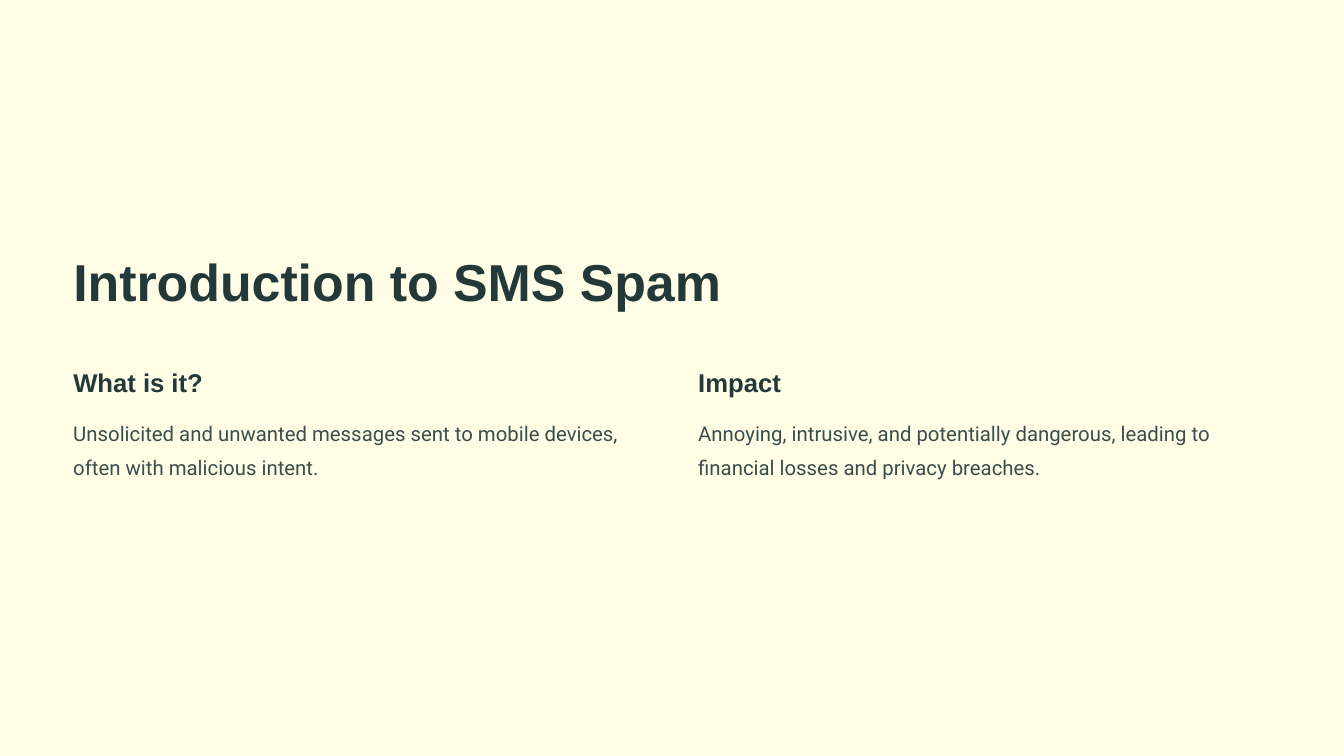
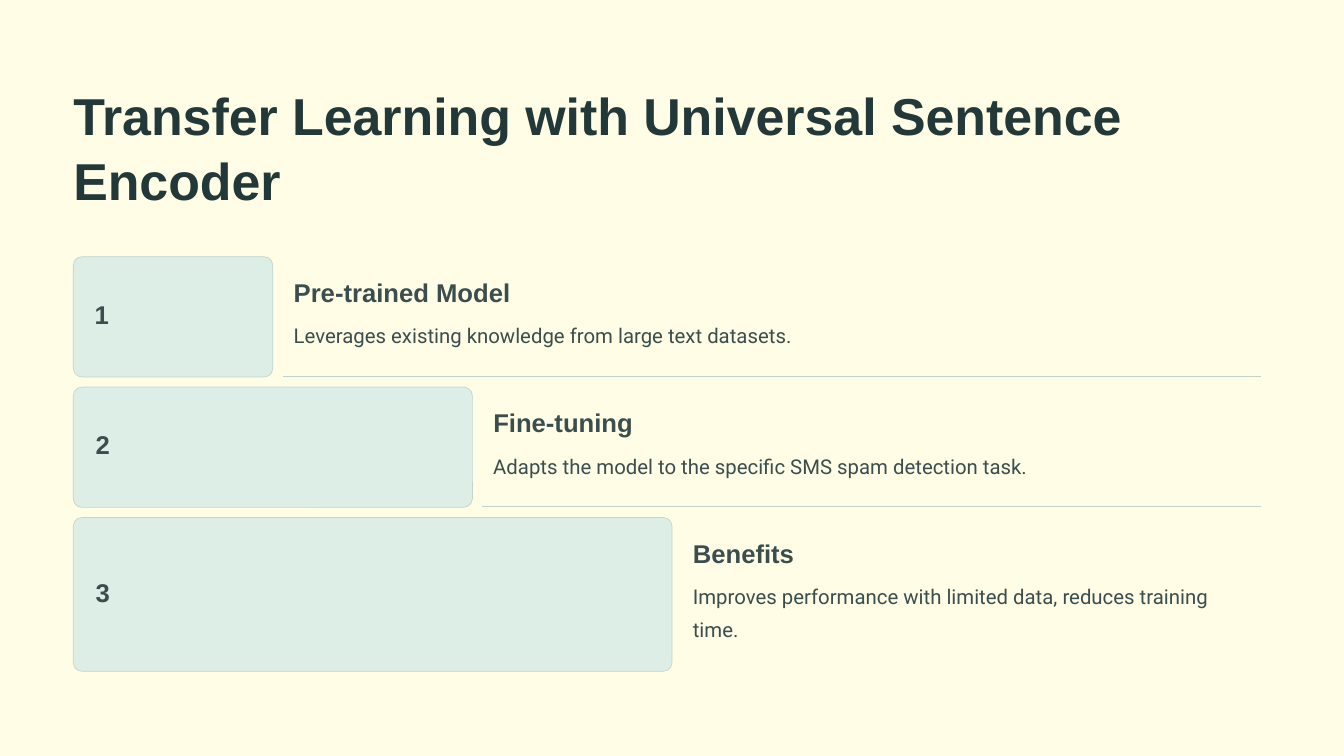
import dataclasses

import pptx
import pptx.dml.color
import pptx.enum.shapes
import pptx.enum.text
import pptx.oxml.ns
import pptx.shapes.base
import pptx.slide
import pptx.util
from lxml import etree
from pptx.util import Inches

CREAM, MINT, SAGE = "FFFDE6", "DDEEE6", "C3D4CC"
DARK, BODY = "233939", "3B4E4E"
SLIDE_WIDTH, SLIDE_HEIGHT = 20, 11.25
MARGIN = 1.09
RIGHT_EDGE = 18.76
HEADING_HEIGHT = 0.52
HEADING = dict(size=27.5, spacing=34.4, bold=True)
DESCRIPTION = dict(size=21.8, spacing=35.7, font="Roboto")
NUMBER_HEIGHT = 0.73
BAR_STEP = 2.97
BAR_GAP = 0.15
CORNER = 0.13


@dataclasses.dataclass
class Topic:
    heading: str
    description: str


@dataclasses.dataclass
class Step(Topic):
    height: float = 1.79
    number_width: float = 0.24


TOPICS = [
    Topic("What is it?", "Unsolicited and unwanted messages sent to mobile devices, often with malicious intent."),
    Topic("Impact", "Annoying, intrusive, and potentially dangerous, leading to financial losses and privacy breaches."),
]
STEPS = [
    Step("Pre-trained Model", "Leverages existing knowledge from large text datasets.", number_width=0.2),
    Step("Fine-tuning", "Adapts the model to the specific SMS spam detection task."),
    Step("Benefits", "Improves performance with limited data, reduces training time.", height=2.29),
]


def color(value: str) -> pptx.dml.color.RGBColor:
    return pptx.dml.color.RGBColor.from_string(value)


def write(shape: pptx.shapes.base.BaseShape, text: str, *, size: float, spacing: float,
          fill: str = BODY, font: str = "Arial", bold: bool = False, centered: bool = False) -> None:
    frame = shape.text_frame
    frame.word_wrap = True
    frame.auto_size = pptx.enum.text.MSO_AUTO_SIZE.NONE
    frame.vertical_anchor = pptx.enum.text.MSO_ANCHOR.TOP
    frame.margin_left = frame.margin_top = frame.margin_right = frame.margin_bottom = 0
    frame.text = text
    paragraph = frame.paragraphs[0]
    paragraph.line_spacing = pptx.util.Pt(spacing)
    paragraph.space_before = pptx.util.Pt(0)
    align = pptx.enum.text.PP_ALIGN
    paragraph.alignment = align.CENTER if centered else align.LEFT
    run_font = paragraph.runs[0].font
    run_font.name, run_font.size, run_font.bold = font, pptx.util.Pt(size), bold
    run_font.color.rgb = color(fill)


def add_text(slide: pptx.slide.Slide, text: str, left: float, top: float,
             width: float, height: float, **style) -> None:
    box = slide.shapes.add_textbox(Inches(left), Inches(top), Inches(width), Inches(height))
    write(box, text, **style)


def add_panel(slide: pptx.slide.Slide, left: float, top: float, width: float, height: float,
              fill: str, border: str = "", corner: float = 0) -> pptx.shapes.base.BaseShape:
    presets = pptx.enum.shapes.MSO_SHAPE
    preset = presets.ROUNDED_RECTANGLE if corner else presets.RECTANGLE
    panel = slide.shapes.add_shape(preset, Inches(left), Inches(top), Inches(width), Inches(height))
    panel.shadow.inherit = False
    panel.fill.solid()
    panel.fill.fore_color.rgb = color(fill)
    if corner:
        panel.adjustments[0] = corner / min(width, height)
    if border:
        panel.line.color.rgb = color(border)
        panel.line.width = pptx.util.Pt(0.75)
    else:
        panel.line.fill.background()
    return panel


def add_slide(deck, title: str, top: float, width: float, height: float) -> pptx.slide.Slide:
    slide = deck.slides.add_slide(deck.slide_layouts[5])
    heading = slide.shapes.title
    backdrop = add_panel(slide, 0, 0, SLIDE_WIDTH, SLIDE_HEIGHT, CREAM)
    heading._element.addprevious(backdrop._element)
    heading.left, heading.top = Inches(MARGIN), Inches(top)
    heading.width, heading.height = Inches(width), Inches(height)
    write(heading, title, size=55.6, spacing=69.4, fill=DARK, bold=True)
    return slide


def add_divider(slide: pptx.slide.Slide, left: float, y: float) -> None:
    divider = slide.shapes.add_connector(
        pptx.enum.shapes.MSO_CONNECTOR.STRAIGHT,
        Inches(left), Inches(y), Inches(RIGHT_EDGE), Inches(y))
    divider.line.color.rgb = color(SAGE)
    divider.line.width = pptx.util.Pt(1.5)
    properties = divider._element.find(pptx.oxml.ns.qn("p:spPr"))
    etree.SubElement(properties, pptx.oxml.ns.qn("a:effectLst"))


def build_introduction(deck) -> None:
    slide = add_slide(deck, "Introduction to SMS Spam", 3.67, 11.15, 1.02)
    for column, topic in enumerate(TOPICS):
        left = MARGIN + column * 9.3
        add_text(slide, topic.heading, left, 5.44, 3.88, HEADING_HEIGHT, fill=DARK, **HEADING)
        add_text(slide, topic.description, left, 6.14, 8.54, 1.11, **DESCRIPTION)


def build_transfer_learning(deck) -> None:
    slide = add_slide(deck, "Transfer Learning with Universal Sentence Encoder", 1.21, 17.83, 1.98)
    top = 3.82
    for number, step in enumerate(STEPS, start=1):
        width = BAR_STEP * number
        bar_right = MARGIN + width
        text_left = bar_right + 0.31
        add_panel(slide, MARGIN, top, width, step.height, MINT, SAGE, CORNER)
        number_top = top + (step.height - NUMBER_HEIGHT) / 2 - 0.06
        add_text(slide, str(number), 1.41, number_top, step.number_width, NUMBER_HEIGHT,
                 size=27.5, spacing=44.4, bold=True, centered=True)
        add_text(slide, step.heading, text_left, top + 0.28, 3.88, HEADING_HEIGHT, **HEADING)
        add_text(slide, step.description, text_left, top + 0.86, 18.6 - text_left,
                 step.height - 1.18, **DESCRIPTION)
        if number < len(STEPS):
            add_divider(slide, bar_right + BAR_GAP, top + step.height - 0.01)
        top += step.height + BAR_GAP


def main() -> None:
    deck = pptx.Presentation()
    deck.slide_width, deck.slide_height = Inches(SLIDE_WIDTH), Inches(SLIDE_HEIGHT)
    build_introduction(deck)
    build_transfer_learning(deck)
    deck.save("out.pptx")


if __name__ == "__main__":
    main()
